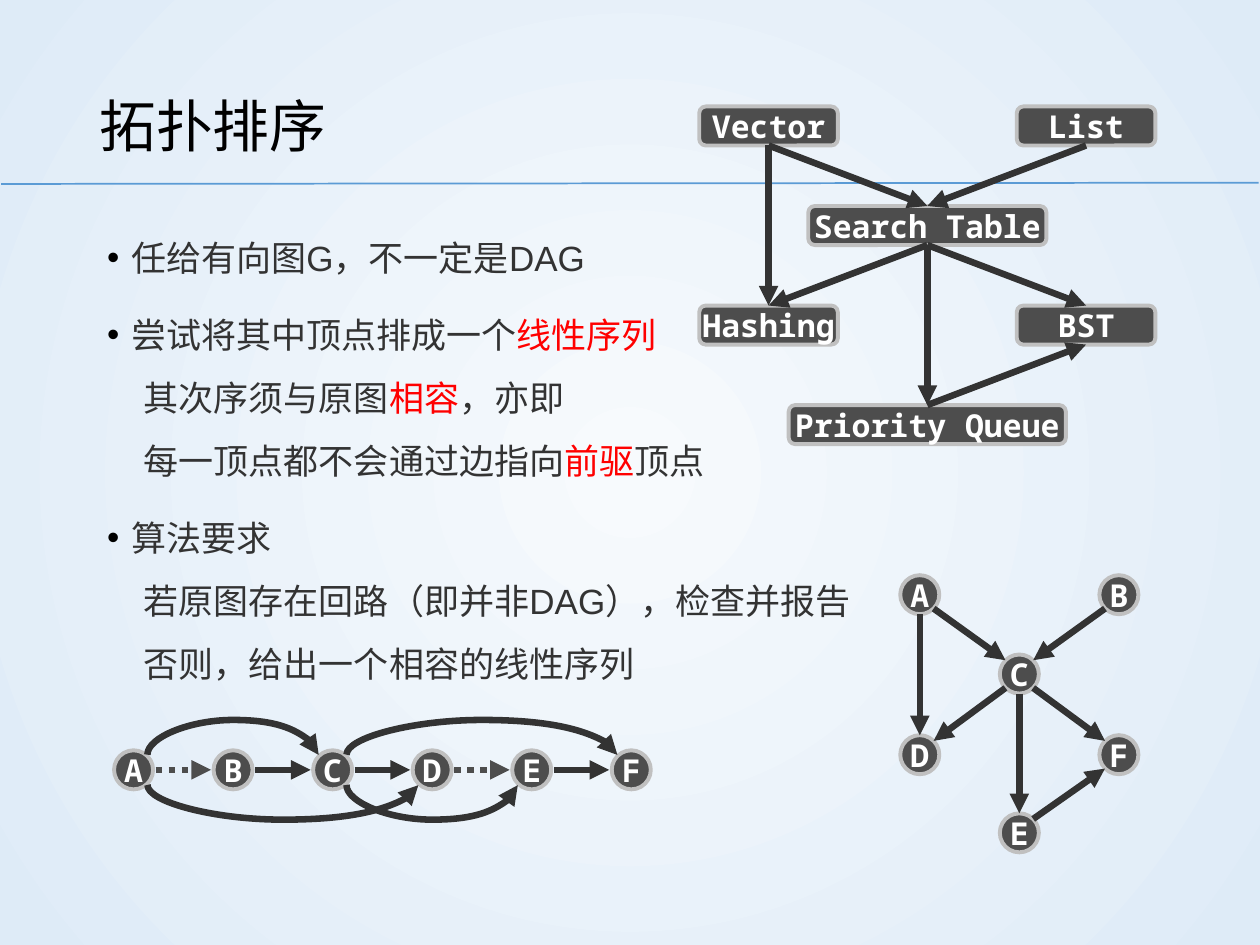
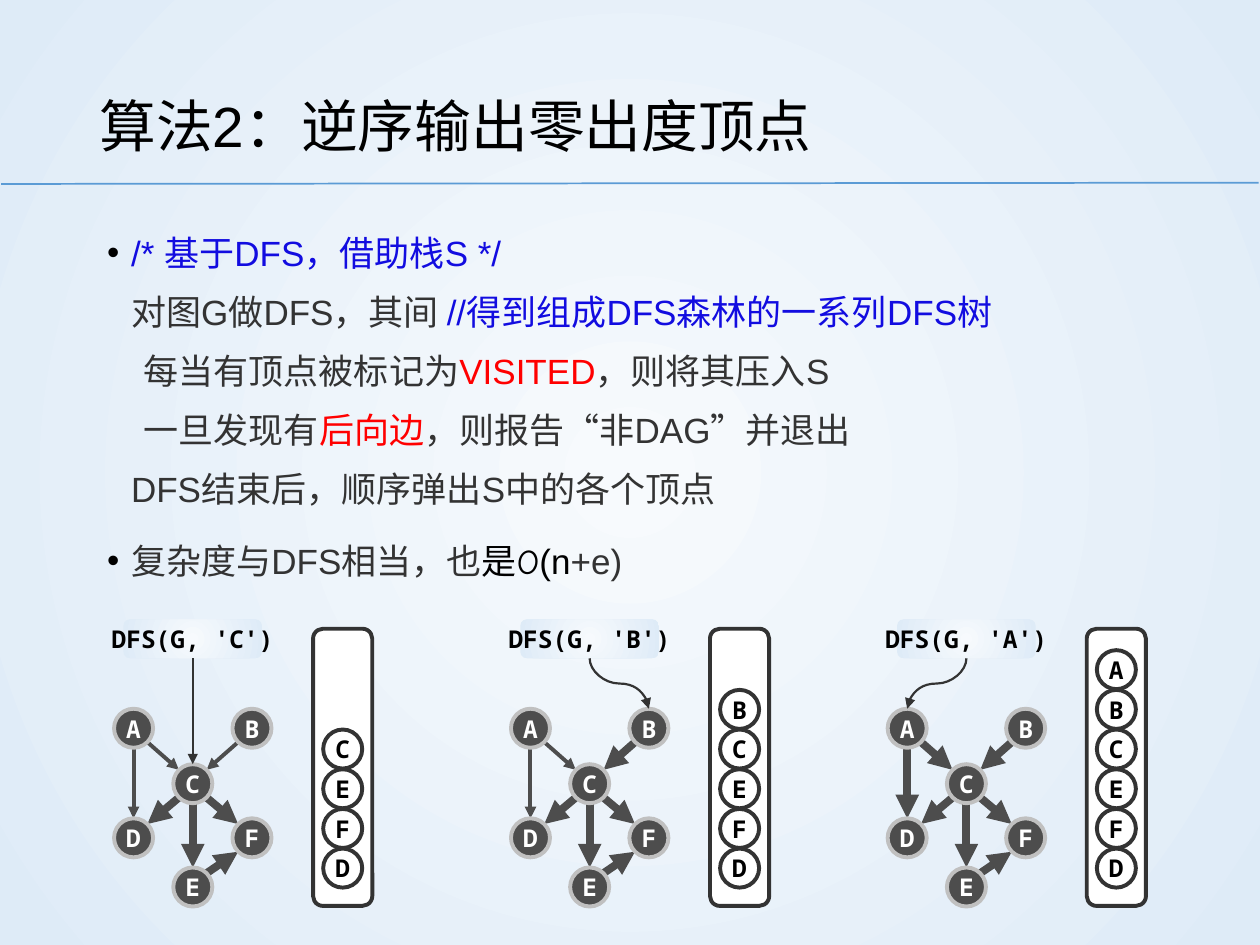
from dataclasses import dataclass
from typing import NamedTuple

from lxml import etree
from pptx import Presentation
from pptx.dml.color import RGBColor
from pptx.enum import dml, shapes, text
from pptx.oxml.ns import qn
from pptx.util import Inches, Pt

INK = RGBColor(0x33, 0x33, 0x33)
SLATE = RGBColor(0x4D, 0x4D, 0x4D)
SILVER = RGBColor(0xC0, 0xC0, 0xC0)
BLACK = RGBColor(0, 0, 0)
WHITE = RGBColor(0xFF, 0xFF, 0xFF)
RED = RGBColor(0xFF, 0, 0)
COMMENT_BLUE = RGBColor(0x12, 0x0C, 0xE0)
RULE_BLUE = RGBColor(0x5B, 0x9B, 0xD5)
GLOW = (RGBColor(0xF7, 0xFA, 0xFD), RGBColor(0xDE, 0xEB, 0xF7))
BODY_FONT, CODE_FONT, MATH_FONT = "Arial", "Noto Sans Mono", "Comic Neue"

WIDTH, HEIGHT = 10, 7.5
NODE = 0.31
RADIUS = NODE / 2
DIAGONAL = 0.71 * RADIUS


class Point(NamedTuple):
    x: float
    y: float


class Area(NamedTuple):
    """A rectangle in shares of the slide."""
    left: float
    top: float
    width: float
    height: float


class Run(NamedTuple):
    text: str
    color: RGBColor = INK
    font: str = BODY_FONT


@dataclass(frozen=True)
class Look:
    fill: RGBColor
    line: RGBColor
    font: RGBColor
    size: float


@dataclass(frozen=True)
class GraphGrid:
    """Column step and row offsets, in inches, of the six-vertex graph."""
    column: float
    rows: tuple[float, ...]


@dataclass(frozen=True)
class Module:
    name: str
    column: int
    row: int
    width: float = 1.1


@dataclass(frozen=True)
class Search:
    """One DFS call: the vertex it starts from and the stack after it."""
    start: str
    left: float
    stack: str


TITLE_AREA = Area(0.069, 0.053, 0.862, 0.144)
BODY_AREA = Area(0.069, 0.217, 0.862, 0.684)
DARK_LARGE = Look(SLATE, SILVER, WHITE, 18)
DARK_SMALL = Look(SLATE, SILVER, WHITE, 14)
LIGHT = Look(WHITE, INK, BLACK, 14)

CELLS = {"A": (0, 0), "B": (2, 0), "C": (1, 1), "D": (0, 2), "F": (2, 2), "E": (1, 3)}
EDGES = ("AC", "BC", "AD", "CD", "CF", "CE", "EF")
WIDE_GRID = GraphGrid(0.79, (0, 0.63, 1.27, 1.89))
SMALL_GRID = GraphGrid(0.47, (0, 0.44, 0.87, 1.26))

MODULES = (
    Module("Vector", 0, 0), Module("List", 2, 0), Module("Search Table", 1, 1, 1.89),
    Module("Hashing", 0, 2), Module("BST", 2, 2), Module("Priority Queue", 1, 3, 2.2),
)
DEPENDENCIES = (
    ("Vector", "Search Table"), ("List", "Search Table"), ("Vector", "Hashing"),
    ("Search Table", "Hashing"), ("Search Table", "BST"),
    ("Search Table", "Priority Queue"), ("Priority Queue", "BST"),
)
SEARCHES = (
    Search("C", 1.06, "DFEC"), Search("B", 4.21, "DFECB"), Search("A", 7.2, "DFECBA"),
)

SORT_BODY = (
    (Run("任给有向图G，不一定是DAG"),),
    (Run("尝试将其中顶点排成一个"), Run("线性序列\n", RED), Run("\t其次序须与原图"),
     Run("相容", RED), Run("，亦即\n\t每一顶点都不会通过边指向"), Run("前驱", RED), Run("顶点")),
    (Run("算法要求\n\t若原图存在回路（即并非DAG），检查并报告\n\t否则，给出一个相容的线性序列"),),
)
DFS_BODY = (
    (Run("/* 基于DFS，借助栈S */\n", COMMENT_BLUE), Run("对图G做DFS，其间 "),
     Run("//得到组成DFS森林的一系列DFS树\n", COMMENT_BLUE), Run("\t每当有顶点被标记为"),
     Run("VISITED", RED), Run("，则将其压入S\n\t一旦发现有"), Run("后向边", RED),
     Run("，则报告“非DAG”并退出\nDFS结束后，顺序弹出S中的各个顶点")),
    (Run("复杂度与DFS相当，也"), Run("是", BLACK), Run("O", BLACK, MATH_FONT),
     Run("(n", BLACK), Run("+e)")),
)


def add_child(parent, tag: str, **attributes: str):
    child = etree.SubElement(parent, qn(tag))
    for name, value in attributes.items():
        child.set(name, value)
    return child


def paint_glow(fill, owner) -> None:
    """Fill with a gradient running from the centre outwards."""
    fill.gradient()
    for stop, color in zip(fill.gradient_stops, GLOW):
        stop.color.rgb = color
    gradient = next(owner.iter(qn("a:gradFill")))
    gradient.remove(gradient.find(qn("a:lin")))
    circle = add_child(gradient, "a:path", path="circle")
    add_child(circle, "a:fillToRect", l="50000", t="50000", r="50000", b="50000")


def style_connector(connector, color: RGBColor, width: float, arrow=True, dotted=False):
    connector.line.color.rgb = color
    connector.line.width = Pt(width)
    if dotted:
        connector.line.dash_style = dml.MSO_LINE.ROUND_DOT
    properties = connector.element.spPr
    if arrow:
        add_child(properties.find(qn("a:ln")), "a:tailEnd", type="triangle")
    add_child(properties, "a:effectLst")


def add_line(slide, start: Point, end: Point, kind=shapes.MSO_CONNECTOR.STRAIGHT):
    return slide.shapes.add_connector(kind, *map(Inches, (*start, *end)))


def add_curve(slide, start: Point, end: Point, bend: float, width: float) -> None:
    """Draw an arrow that leaves vertically and turns `bend` inches below its start."""
    across, down = abs(end.x - start.x), max(abs(end.y - start.y), 0.002)
    middle = Point((start.x + end.x) / 2, (start.y + end.y) / 2)
    connector = add_line(slide, Point(middle.x - down / 2, middle.y - across / 2),
                         Point(middle.x + down / 2, middle.y + across / 2),
                         shapes.MSO_CONNECTOR.CURVE)
    properties = connector.element.spPr
    frame = properties.find(qn("a:xfrm"))
    frame.set("rot", "5400000")
    if end.x > start.x:
        frame.set("flipV", "1")
    adjustments = properties.find(qn("a:prstGeom")).find(qn("a:avLst"))
    add_child(adjustments, "a:gd", name="adj1", fmla=f"val {round(bend / down * 100000)}")
    style_connector(connector, INK, width)


def add_block(slide, kind, center: Point, width: float, height: float):
    block = slide.shapes.add_shape(kind, *map(Inches, (
        center.x - width / 2, center.y - height / 2, width, height)))
    block.shadow.inherit = False
    return block


def paint(shape, look: Look) -> None:
    shape.fill.solid()
    shape.fill.fore_color.rgb = look.fill
    shape.line.color.rgb = look.line
    shape.line.width = Pt(2.25)


def write_code(shape, words: str, look: Look) -> None:
    frame = shape.text_frame
    frame.word_wrap = False
    frame.vertical_anchor = text.MSO_ANCHOR.MIDDLE
    frame.margin_left = frame.margin_right = frame.margin_top = frame.margin_bottom = 0
    paragraph = frame.paragraphs[0]
    paragraph.text = words
    paragraph.alignment = text.PP_ALIGN.CENTER
    font = paragraph.font
    font.name, font.size, font.bold = CODE_FONT, Pt(look.size), True
    font.color.rgb = look.font


def add_node(slide, center: Point, letter: str, look: Look) -> None:
    node = add_block(slide, shapes.MSO_SHAPE.OVAL, center, NODE, NODE)
    paint(node, look)
    write_code(node, letter, look)


def graph_centers(origin: Point, grid: GraphGrid) -> dict[str, Point]:
    return {letter: Point(origin.x + column * grid.column, origin.y + grid.rows[row])
            for letter, (column, row) in CELLS.items()}


def add_edge(slide, start: Point, end: Point, color: RGBColor, width: float) -> None:
    """Join the facing sides of two round nodes."""
    horizontal = (end.x > start.x) - (end.x < start.x)
    vertical = (end.y > start.y) - (end.y < start.y)
    reach = DIAGONAL if horizontal and vertical else RADIUS
    dx, dy = horizontal * reach, vertical * reach
    line = add_line(slide, Point(start.x + dx, start.y + dy), Point(end.x - dx, end.y - dy))
    style_connector(line, color, width)


def place(shape, area: Area) -> None:
    shape.left, shape.width = (Inches(share * WIDTH) for share in (area.left, area.width))
    shape.top, shape.height = (Inches(share * HEIGHT) for share in (area.top, area.height))


def write_title(title, words: str) -> None:
    place(title, TITLE_AREA)
    frame = title.text_frame
    frame.vertical_anchor = text.MSO_ANCHOR.MIDDLE
    frame.auto_size = text.MSO_AUTO_SIZE.NONE
    paragraph = frame.paragraphs[0]
    paragraph.text = words
    paragraph.alignment = text.PP_ALIGN.LEFT
    paragraph.line_spacing = 1.2
    paragraph.font.name, paragraph.font.size = BODY_FONT, Pt(32.4)
    paragraph.font.color.rgb = BLACK


def format_item(paragraph, spacing: float) -> None:
    paragraph.line_spacing = spacing
    paragraph.space_before, paragraph.space_after = Pt(6), Pt(2)
    paragraph.font.name, paragraph.font.size = BODY_FONT, Pt(20)
    paragraph.font.color.rgb = INK
    properties = paragraph._p.get_or_add_pPr()
    properties.set("marL", str(Inches(0.19)))
    properties.set("indent", str(-Inches(0.19)))
    defaults = properties.find(qn("a:defRPr"))
    add_child(add_child(properties, "a:buClr"), "a:srgbClr", val=str(BLACK))
    add_child(properties, "a:buFont", typeface=BODY_FONT)
    add_child(properties, "a:buChar", char="•")
    add_child(add_child(properties, "a:tabLst"), "a:tab", pos=str(Inches(0.29)), algn="l")
    properties.append(defaults)


def write_body(body, items: tuple[tuple[Run, ...], ...], spacing: float) -> None:
    place(body, BODY_AREA)
    frame = body.text_frame
    frame.word_wrap = True
    frame.auto_size = text.MSO_AUTO_SIZE.NONE
    frame.margin_left, frame.margin_right = Inches(0.16), 0
    frame.margin_top = frame.margin_bottom = Inches(0.08)
    for index, item in enumerate(items):
        paragraph = frame.add_paragraph() if index else frame.paragraphs[0]
        format_item(paragraph, spacing)
        for piece in item:
            for number, line in enumerate(piece.text.split("\n")):
                if number:
                    paragraph.add_line_break()
                if line:
                    run = paragraph.add_run()
                    run.text = line
                    if piece.color != INK:
                        run.font.color.rgb = piece.color
                    if piece.font != BODY_FONT:
                        run.font.name = piece.font


def add_content_slide(presentation, title: str, items, spacing: float):
    slide = presentation.slides.add_slide(presentation.slide_layouts[1])
    write_title(slide.shapes.title, title)
    write_body(slide.placeholders[1], items, spacing)
    return slide


def draw_modules(slide) -> None:
    boxes = {}
    for module in MODULES:
        center = Point(6.1 + 1.26 * module.column, 1 + 0.79 * module.row)
        box = add_block(slide, shapes.MSO_SHAPE.ROUNDED_RECTANGLE, center, module.width, NODE)
        paint(box, DARK_LARGE)
        write_code(box, module.name, DARK_LARGE)
        boxes[module.name] = box
    for source, target in DEPENDENCIES:
        upward = boxes[source].top > boxes[target].top
        line = add_line(slide, Point(0, 0), Point(1, 1))
        line.begin_connect(boxes[source], 0 if upward else 2)
        line.end_connect(boxes[target], 2 if upward else 0)
        style_connector(line, INK, 3.75)


def draw_sequence(slide) -> None:
    """Lay the vertices out in topological order, with edges beside and around them."""
    letters = sorted(CELLS)
    centers = {letter: Point(1.06 + 0.79 * index, 6.11) for index, letter in enumerate(letters)}
    for letter, center in centers.items():
        add_node(slide, center, letter, DARK_LARGE)
    gap = RADIUS + 0.02
    for source, target in zip(letters, letters[1:]):
        start, end = centers[source], centers[target]
        line = add_line(slide, Point(start.x + gap, start.y), Point(end.x - gap, end.y))
        implied = source + target not in EDGES
        style_connector(line, SLATE if implied else INK, 3.75, dotted=implied)
    for (source, target), side in (("AC", -1), ("AD", 1), ("CF", -1), ("CE", 1)):
        start, end = centers[source], centers[target]
        level = start.y + side * 0.12
        add_curve(slide, Point(start.x + DIAGONAL, level), Point(end.x - DIAGONAL, level),
                  side * 0.28, 3.75)


def draw_search(slide, search: Search) -> None:
    centers = graph_centers(Point(search.left, 5.78), SMALL_GRID)
    for source, target in EDGES:
        width = 4.5 if source in search.stack else 2.25
        add_edge(slide, centers[source], centers[target], SLATE, width)
    for letter, center in centers.items():
        add_node(slide, center, letter, DARK_SMALL)

    stack_x = search.left + 1.66
    frame = add_block(slide, shapes.MSO_SHAPE.ROUNDED_RECTANGLE, Point(stack_x, 6.09), 0.47, 2.2)
    paint(frame, LIGHT)
    for level, letter in enumerate(search.stack):
        add_node(slide, Point(stack_x, 6.89 - 0.315 * level), letter, LIGHT)

    call = Point(centers["C"].x, 5.07)
    label = add_block(slide, shapes.MSO_SHAPE.ROUNDED_RECTANGLE, call, 1.1, NODE)
    paint_glow(label.fill, label.element)
    label.line.fill.background()
    write_code(label, f"DFS(G, '{search.start}')", LIGHT)
    start = Point(call.x, call.y + RADIUS)
    end = Point(centers[search.start].x, centers[search.start].y - RADIUS)
    add_curve(slide, start, end, (end.y - start.y) / 2, 1.25)


def main() -> None:
    presentation = Presentation()
    presentation.slide_width, presentation.slide_height = Inches(WIDTH), Inches(HEIGHT)
    master = presentation.slide_master
    paint_glow(master.background.fill, master.element)

    sorting = add_content_slide(presentation, "拓扑排序", SORT_BODY, 1.5)
    rule = add_line(sorting, Point(0.01, 1.46), Point(9.99, 1.45))
    style_connector(rule, RULE_BLUE, 1, arrow=False)
    sorting.slide_layout.shapes.element.append(rule.element)
    draw_modules(sorting)
    centers = graph_centers(Point(7.3, 4.72), WIDE_GRID)
    for letter, center in centers.items():
        add_node(sorting, center, letter, DARK_LARGE)
    for source, target in EDGES:
        add_edge(sorting, centers[source], centers[target], INK, 3.75)
    draw_sequence(sorting)

    searching = add_content_slide(presentation, "算法2：逆序输出零出度顶点", DFS_BODY, 1.4)
    for search in SEARCHES:
        draw_search(searching, search)
    presentation.save("out.pptx")


if __name__ == "__main__":
    main()
